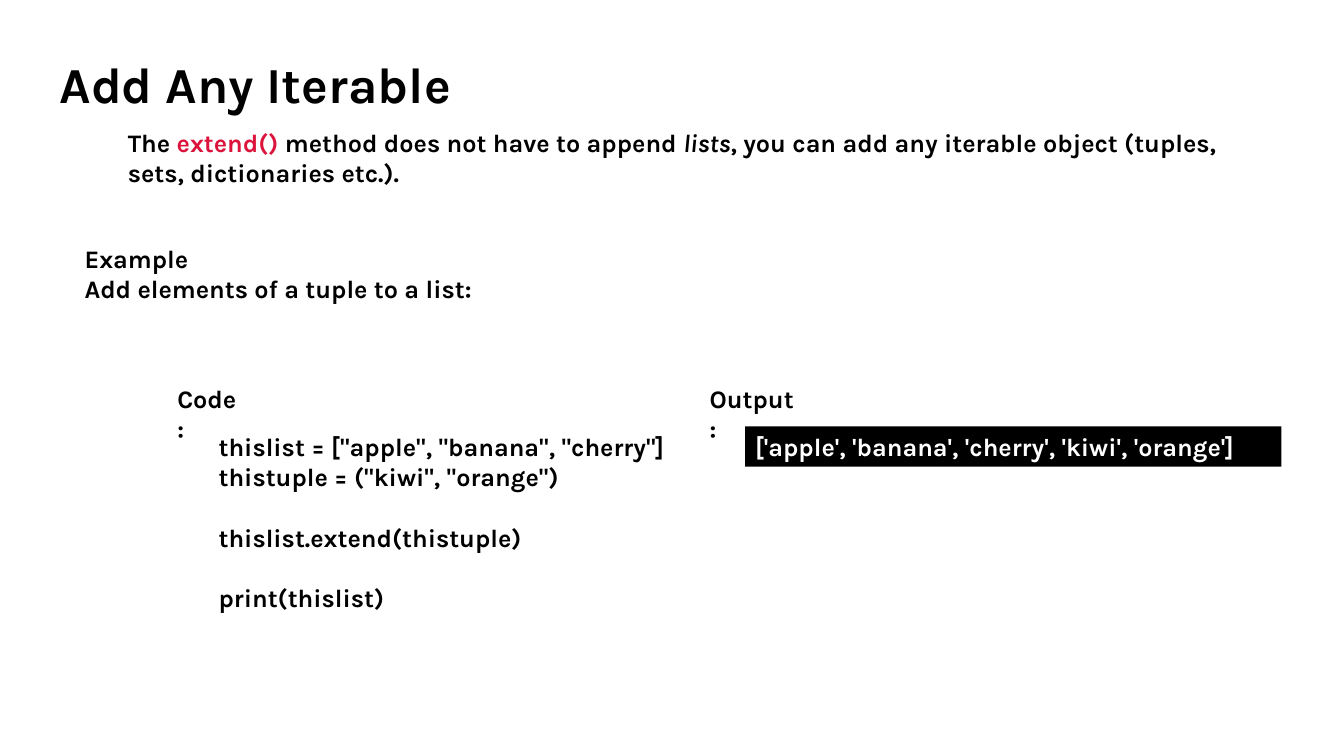
from pptx import Presentation
from pptx.dml.color import RGBColor
from pptx.enum import shapes, text
from pptx.util import Inches, Pt

BLACK = RGBColor(0x00, 0x00, 0x00)
WHITE = RGBColor(0xFF, 0xFF, 0xFF)
CRIMSON = RGBColor(0xDC, 0x14, 0x3C)
FONT = "Karla"


def format_runs(shape, size=18, color=BLACK):
    for paragraph in shape.text_frame.paragraphs:
        paragraph.alignment = text.PP_ALIGN.LEFT
        for run in paragraph.runs:
            run.font.name = FONT
            run.font.size = Pt(size)
            run.font.bold = True
            run.font.color.rgb = color


def add_panel(left, top, width, height, fill):
    panel = slide.shapes.add_shape(
        shapes.MSO_SHAPE.RECTANGLE,
        Inches(left), Inches(top), Inches(width), Inches(height))
    panel.shadow.inherit = False
    panel.fill.solid()
    panel.fill.fore_color.rgb = fill
    panel.line.fill.background()
    panel.text_frame.word_wrap = True
    panel.text_frame.vertical_anchor = text.MSO_ANCHOR.MIDDLE
    return panel


presentation = Presentation()
presentation.slide_width = Inches(13.33)
presentation.slide_height = Inches(7.5)
slide = presentation.slides.add_slide(presentation.slide_layouts[5])

# Title
title = slide.shapes.title
title.left, title.top = Inches(0.49), Inches(0.48)
title.width, title.height = Inches(6.67), Inches(0.71)
title.text_frame.text = "Add Any Iterable"
title.text_frame.vertical_anchor = text.MSO_ANCHOR.TOP
title.text_frame.auto_size = text.MSO_AUTO_SIZE.NONE
format_runs(title, size=36)

# Introduction with the method name highlighted
introduction = add_panel(1.17, 1.21, 11.54, 0.71, WHITE)
sentence = introduction.text_frame.paragraphs[0]
for part in ("The ", "extend()", " method does not have to append ", "lists",
             ", you can add any iterable object (tuples, sets, dictionaries etc.)."):
    sentence.add_run().text = part
format_runs(introduction)
sentence.runs[1].font.color.rgb = CRIMSON
sentence.runs[3].font.italic = True

# Output panel
output = add_panel(7.39, 4.23, 5.32, 0.4, BLACK)
output.text_frame.text = "['apple', 'banana', 'cherry', 'kiwi', 'orange']"
format_runs(output, color=WHITE)

# Example, code and labels: left, top, width, height, lines
text_blocks = [
    (0.74, 2.36, 6.67, 0.71, ["Example", "Add elements of a tuple to a list:"]),
    (2.07, 4.23, 6.67, 1.92, ['thislist = ["apple", "banana", "cherry"]',
                              'thistuple = ("kiwi", "orange")',
                              "thislist.extend(thistuple)",
                              "print(thislist)"]),
    (1.66, 3.75, 0.82, 0.4, ["Code:"]),
    (6.94, 3.75, 1.05, 0.4, ["Output:"]),
]
for left, top, width, height, lines in text_blocks:
    box = slide.shapes.add_textbox(
        Inches(left), Inches(top), Inches(width), Inches(height))
    box.text_frame.word_wrap = True
    box.text_frame.text = "\n".join(lines)
    format_runs(box)
    # Code statements after the two assignments stand one line apart
    for paragraph in box.text_frame.paragraphs[2:]:
        paragraph.space_before = Pt(21.6)

presentation.save("out.pptx")
